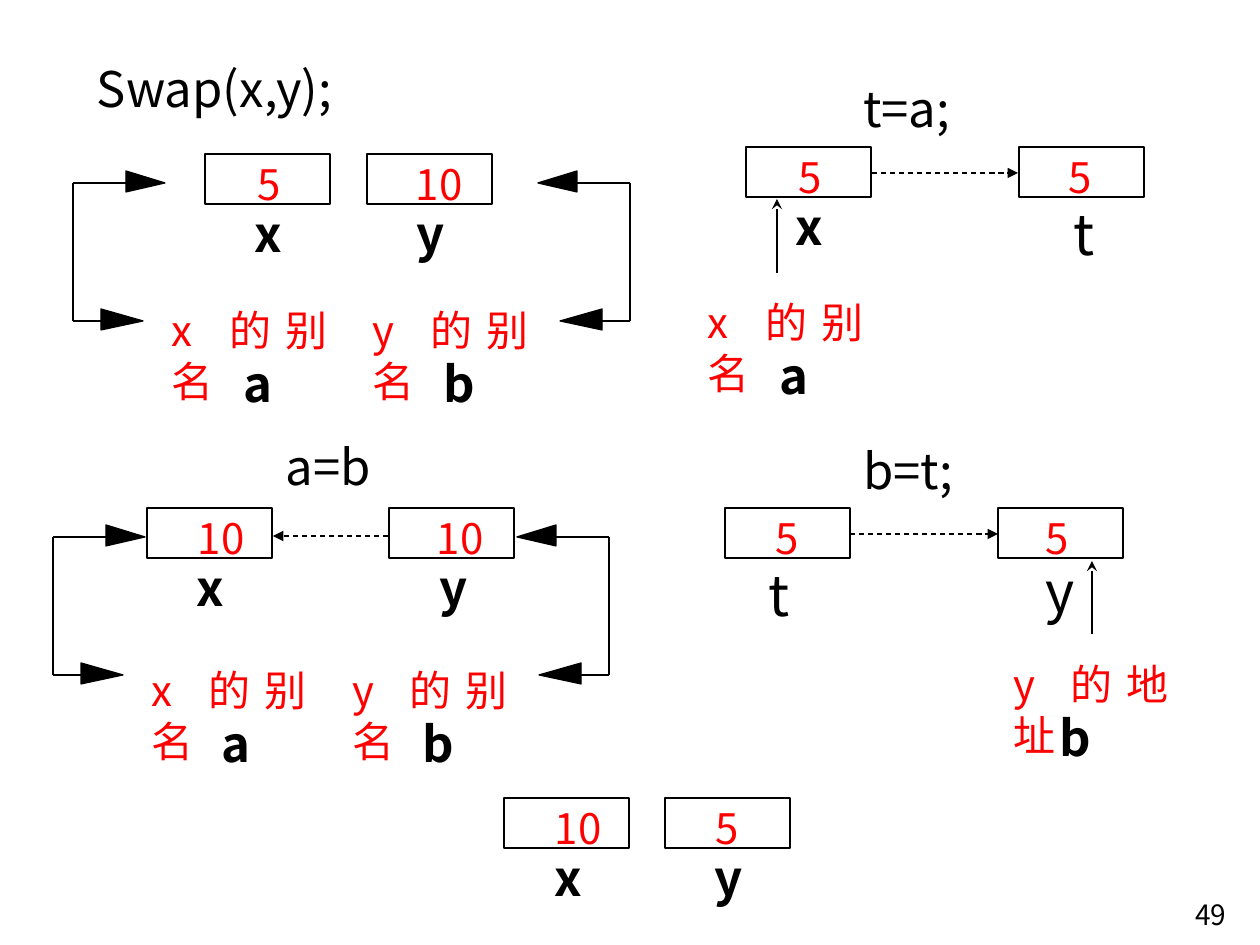
from lxml.etree import SubElement
from pptx import Presentation
from pptx.dml.color import RGBColor
from pptx.enum.dml import MSO_LINE
from pptx.enum.shapes import MSO_CONNECTOR, MSO_SHAPE
from pptx.enum.text import MSO_ANCHOR, PP_ALIGN
from pptx.oxml.ns import qn
from pptx.util import Emu, Pt

FONT = "Noto Sans CJK SC"
BLACK = "000000"
WHITE = "FFFFFF"
RED = "FF0000"
PIXELS_PER_INCH = 126


def px(length):
    return Emu(round(length * 914400 / PIXELS_PER_INCH))


def color(value):
    return RGBColor.from_string(value)


def write_text(shape, text, size, text_color=BLACK, bold=False,
               align=PP_ALIGN.LEFT, wrap=False, inset=(0, 0)):
    frame = shape.text_frame
    frame.word_wrap = wrap
    frame.vertical_anchor = MSO_ANCHOR.TOP
    frame.margin_left = frame.margin_right = px(inset[0])
    frame.margin_top = frame.margin_bottom = px(inset[1])
    frame.text = text
    paragraph = frame.paragraphs[0]
    paragraph.alignment = align
    paragraph.line_spacing = Pt(size * 1.2)
    paragraph.space_before = Pt(0)
    font = paragraph.font
    font.name = FONT
    font.size = Pt(size)
    font.bold = bold
    font.color.rgb = color(text_color)
    properties = paragraph._p.pPr.find(qn("a:defRPr"))
    SubElement(properties, qn("a:ea"), typeface=FONT)


def add_text(slide, left, top, width, height, text, size, **style):
    shape = slide.shapes.add_textbox(px(left), px(top), px(width), px(height))
    write_text(shape, text, size, **style)


def add_heading(slide, left, top, width, text):
    add_text(slide, left, top, width, 72, text, 28, wrap=True, inset=(13, 6))


def add_box(slide, left, top, width, height, outlined):
    shape = slide.shapes.add_shape(
        MSO_SHAPE.RECTANGLE, px(left), px(top), px(width), px(height))
    shape.shadow.inherit = False
    shape.fill.solid()
    shape.fill.fore_color.rgb = color(WHITE)
    if outlined:
        shape.line.color.rgb = color(BLACK)
        shape.line.width = Pt(1)
    else:
        shape.line.fill.background()


def add_line(slide, start, end, width=1, arrow=None, dashed=False):
    connector = slide.shapes.add_connector(
        MSO_CONNECTOR.STRAIGHT, *map(px, start + end))
    connector.line.color.rgb = color(BLACK)
    connector.line.width = Pt(width)
    if dashed:
        connector.line.dash_style = MSO_LINE.DASH
    if arrow:
        SubElement(connector.line._get_or_add_ln(), qn("a:tailEnd"), type=arrow)
    SubElement(connector._element.spPr, qn("a:effectLst"))


def add_arrowhead(slide, base, tip, y):
    builder = slide.shapes.build_freeform(px(tip), px(y), scale=1.0)
    points = [(base, y - 12), (base, y + 9)]
    builder.add_line_segments([(px(a), px(b)) for a, b in points], close=True)
    shape = builder.convert_to_shape()
    shape.shadow.inherit = False
    shape.fill.solid()
    shape.fill.fore_color.rgb = color(BLACK)
    shape.line.color.rgb = color(BLACK)
    shape.line.width = Pt(0.75)


def add_bracket(slide, x, top, direction):
    bottom = top + 138
    add_line(slide, (x, bottom), (x, top))
    for y, base, tip in ((top, 53, 92), (bottom, 28, 70)):
        base_x = x + direction * base
        add_line(slide, (x, y), (base_x, y))
        add_arrowhead(slide, base_x, x + direction * tip, y)


def add_variable(slide, left, top, value, name, value_offset=51,
                 name_offset=50, name_drop=50, size=28, bold=True):
    add_box(slide, left, top, 125, 50, True)
    add_text(slide, left + value_offset, top + 5, 24 * len(value), 50,
             value, 24, text_color=RED)
    add_text(slide, left + name_offset, top + name_drop, 30, 59,
             name, size, bold=bold)


def add_alias(slide, left, top, text, name, text_offset=11, name_offset=82):
    add_box(slide, left, top, 175, 76, False)
    add_text(slide, left + text_offset, top + 25, 155, 101, text, 24,
             text_color=RED, align=PP_ALIGN.JUSTIFY, wrap=True)
    add_text(slide, left + name_offset, top + 74, 32, 59, name, 28, bold=True)


def add_alias_pair(slide, left, top):
    for x, text, name in ((left, "x 的别名", "a"), (left + 201, "y 的别名", "b")):
        add_alias(slide, x, top, text, name)


def add_call_panel(slide):
    add_variable(slide, 205, 154, "5", "x", 53)
    add_variable(slide, 367, 154, "10", "y", 49)
    add_alias_pair(slide, 161, 280)
    add_bracket(slide, 73, 183, 1)
    add_bracket(slide, 630, 183, -1)


def add_save_panel(slide):
    add_heading(slide, 850, 73, 168, "t=a;")
    add_variable(slide, 746, 147, "5", "x", 53)
    add_variable(slide, 1019, 147, "5", "t", 50, 55, 52, 32, False)
    add_alias(slide, 697, 272, "x 的别名", "a")
    add_line(slide, (777, 273), (777, 199), 0.75, "stealth")
    add_line(slide, (872, 173), (1018, 173), 0.75, "triangle", True)


def add_assign_panel(slide):
    add_heading(slide, 273, 431, 126, "a=b")
    add_alias_pair(slide, 140, 640)
    add_variable(slide, 147, 508, "10", "x")
    add_variable(slide, 389, 508, "10", "y", 48)
    add_bracket(slide, 53, 537, 1)
    add_bracket(slide, 609, 537, -1)
    add_line(slide, (388, 536), (273, 536), 0.75, "triangle", True)


def add_restore_panel(slide):
    add_heading(slide, 850, 435, 168, "b=t;")
    add_variable(slide, 725, 508, "5", "t", 51, 43, 52, 32, False)
    add_variable(slide, 998, 508, "5", "y", 48, 48, 49, 32, False)
    add_alias(slide, 997, 634, "y 的地址", "b", 16, 63)
    add_line(slide, (1092, 634), (1092, 561), 0.75, "stealth")
    add_line(slide, (850, 534), (998, 534), 0.75, "triangle", True)


def add_result_panel(slide):
    add_variable(slide, 504, 798, "10", "x")
    add_variable(slide, 665, 798, "5", "y")


def add_title(slide, text):
    title = slide.shapes.title
    title.left, title.top, title.width, title.height = map(px, (84, 53, 347, 72))
    write_text(title, text, 28, wrap=True, inset=(13, 6))


def main():
    presentation = Presentation()
    presentation.slide_width = px(1260)
    presentation.slide_height = px(945)
    slide = presentation.slides.add_slide(presentation.slide_layouts[5])
    add_title(slide, "Swap(x,y);")
    add_save_panel(slide)
    add_call_panel(slide)
    add_assign_panel(slide)
    add_restore_panel(slide)
    add_result_panel(slide)
    add_text(slide, 1176, 892, 63, 50, "49", 16, align=PP_ALIGN.RIGHT,
             wrap=True, inset=(13, 6))
    presentation.save("out.pptx")


if __name__ == "__main__":
    main()
